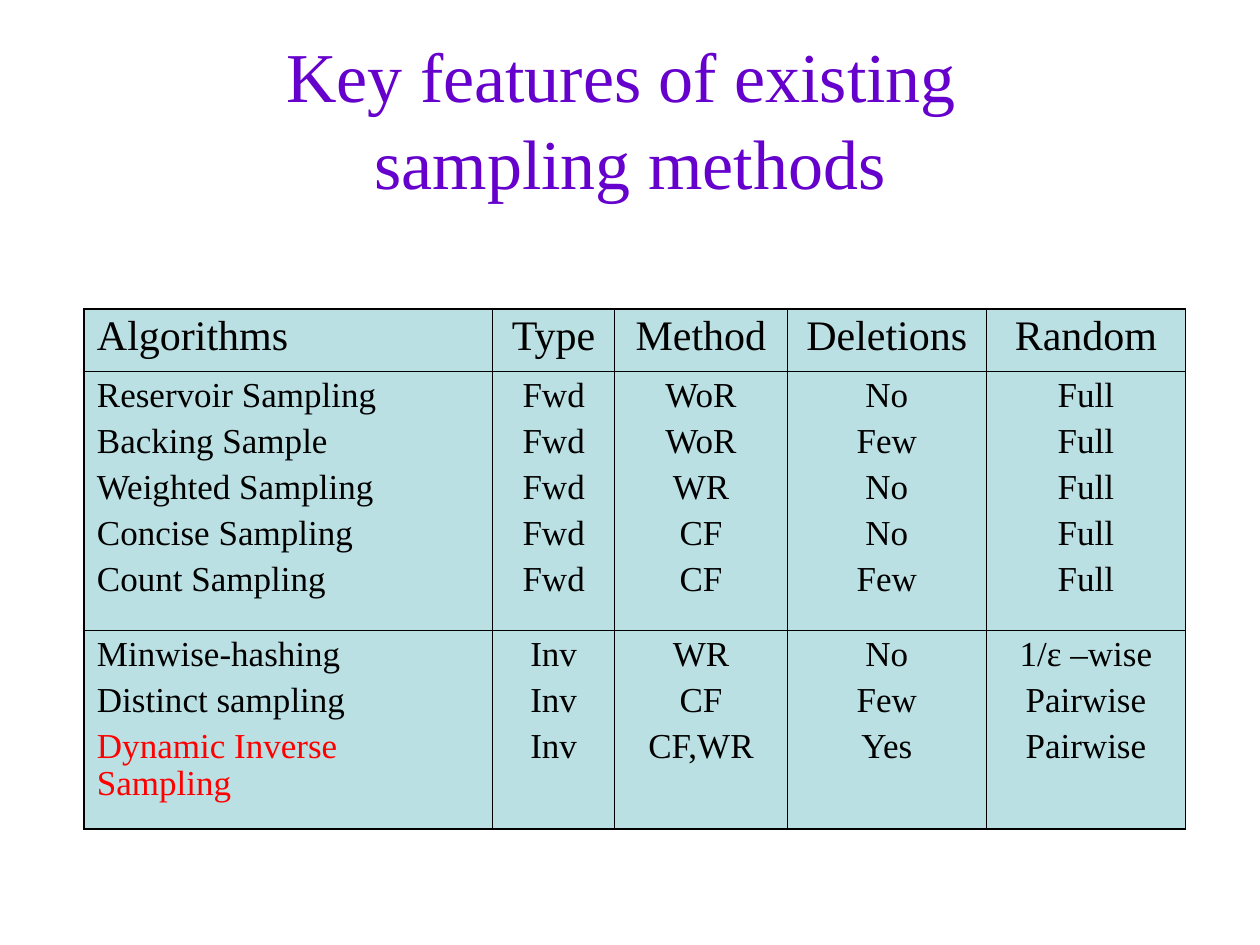
from pptx import Presentation
from pptx.dml.color import RGBColor
from pptx.enum.text import MSO_ANCHOR as Anchor, MSO_AUTO_SIZE as AutoSize, PP_ALIGN as Align
from pptx.oxml.ns import qn
from pptx.util import Pt
from lxml.etree import SubElement

THEME = {
    "font": "Times New Roman",
    "title": RGBColor.from_string("6600CC"),
    "text": RGBColor.from_string("000000"),
    "accent": RGBColor.from_string("FF0000"),
    "cell": RGBColor.from_string("BBE0E3"),
    "border": "000000",
    "title_size": 40,
    "header_size": 24,
    "body_size": 20,
    "thin": 0.45,
    "thick": 1.08,
}
HIGHLIGHT = "Dynamic Inverse Sampling"
COLUMN_WIDTHS = [233.3, 69.8, 98.6, 113.8, 113.8]
ROW_HEIGHTS = [36, 147.6, 113.8]
HEADERS = ["Algorithms", "Type", "Method", "Deletions", "Random"]
FORWARD_METHODS = [
    ("Reservoir Sampling", "Fwd", "WoR", "No", "Full"),
    ("Backing Sample", "Fwd", "WoR", "Few", "Full"),
    ("Weighted Sampling", "Fwd", "WR", "No", "Full"),
    ("Concise Sampling", "Fwd", "CF", "No", "Full"),
    ("Count Sampling", "Fwd", "CF", "Few", "Full"),
]
INVERSE_METHODS = [
    ("Minwise-hashing", "Inv", "WR", "No", "1/ε –wise"),
    ("Distinct sampling", "Inv", "CF", "Few", "Pairwise"),
    (HIGHLIGHT, "Inv", "CF,WR", "Yes", "Pairwise"),
]


def format_paragraph(paragraph, size, color, **layout):
    values = {"name": THEME["font"], "size": Pt(size), "bold": False}
    for name, value in values.items():
        setattr(paragraph.font, name, value)
    paragraph.font.color.rgb = color
    for name, value in layout.items():
        setattr(paragraph, name, value)


def set_borders(cell, widths):
    properties = cell._tc.get_or_add_tcPr()
    for index, (side, width) in enumerate(widths.items()):
        line = SubElement(properties, qn(f"a:{side}"), w=str(Pt(width)))
        fill = SubElement(line, qn("a:solidFill"))
        SubElement(fill, qn("a:srgbClr"), val=THEME["border"])
        properties.insert(index, line)  # borders come before the fill


presentation = Presentation()
presentation.slide_width, presentation.slide_height = Pt(720), Pt(540)
slide = presentation.slides.add_slide(presentation.slide_layouts[5])

# Title
title = slide.shapes.title
title.left, title.top, title.width, title.height = Pt(36), Pt(21.6), Pt(648), Pt(90)
frame = title.text_frame
frame.text = "Key features of existing \vsampling methods"
for name, value in {"auto_size": AutoSize.NONE, "word_wrap": True,
                    "vertical_anchor": Anchor.MIDDLE}.items():
    setattr(frame, name, value)
format_paragraph(frame.paragraphs[0], THEME["title_size"], THEME["title"],
                 alignment=Align.CENTER, line_spacing=1.04)

# Table: one header row, then one row for each group of methods
groups = [[HEADERS], FORWARD_METHODS, INVERSE_METHODS]
table = slide.shapes.add_table(len(groups), len(HEADERS), Pt(48.2), Pt(176.4),
                               Pt(sum(COLUMN_WIDTHS)), Pt(sum(ROW_HEIGHTS))).table
table.first_row = table.horz_banding = False
for column, width in zip(table.columns, COLUMN_WIDTHS):
    column.width = Pt(width)
for row, height in zip(table.rows, ROW_HEIGHTS):
    row.height = Pt(height)

# Cells: one paragraph for each method in the group
last_row, last_column = len(groups) - 1, len(HEADERS) - 1
for row_index, group in enumerate(groups):
    size = THEME["body_size"] if row_index else THEME["header_size"]
    for column_index, entries in enumerate(zip(*group)):
        cell = table.cell(row_index, column_index)
        cell.fill.solid()
        cell.fill.fore_color.rgb = THEME["cell"]
        cell.text = "\n".join(entries)
        for paragraph in cell.text_frame.paragraphs:
            color = THEME["accent"] if paragraph.text == HIGHLIGHT else THEME["text"]
            format_paragraph(paragraph, size, color,
                             alignment=Align.CENTER if column_index else Align.LEFT,
                             space_before=Pt(size / 4), line_spacing=0.96)
        outer_sides = {"lnL": column_index == 0, "lnR": column_index == last_column,
                       "lnT": row_index == 0, "lnB": row_index == last_row}
        set_borders(cell, {side: THEME["thick" if outer else "thin"]
                           for side, outer in outer_sides.items()})

presentation.save("out.pptx")
